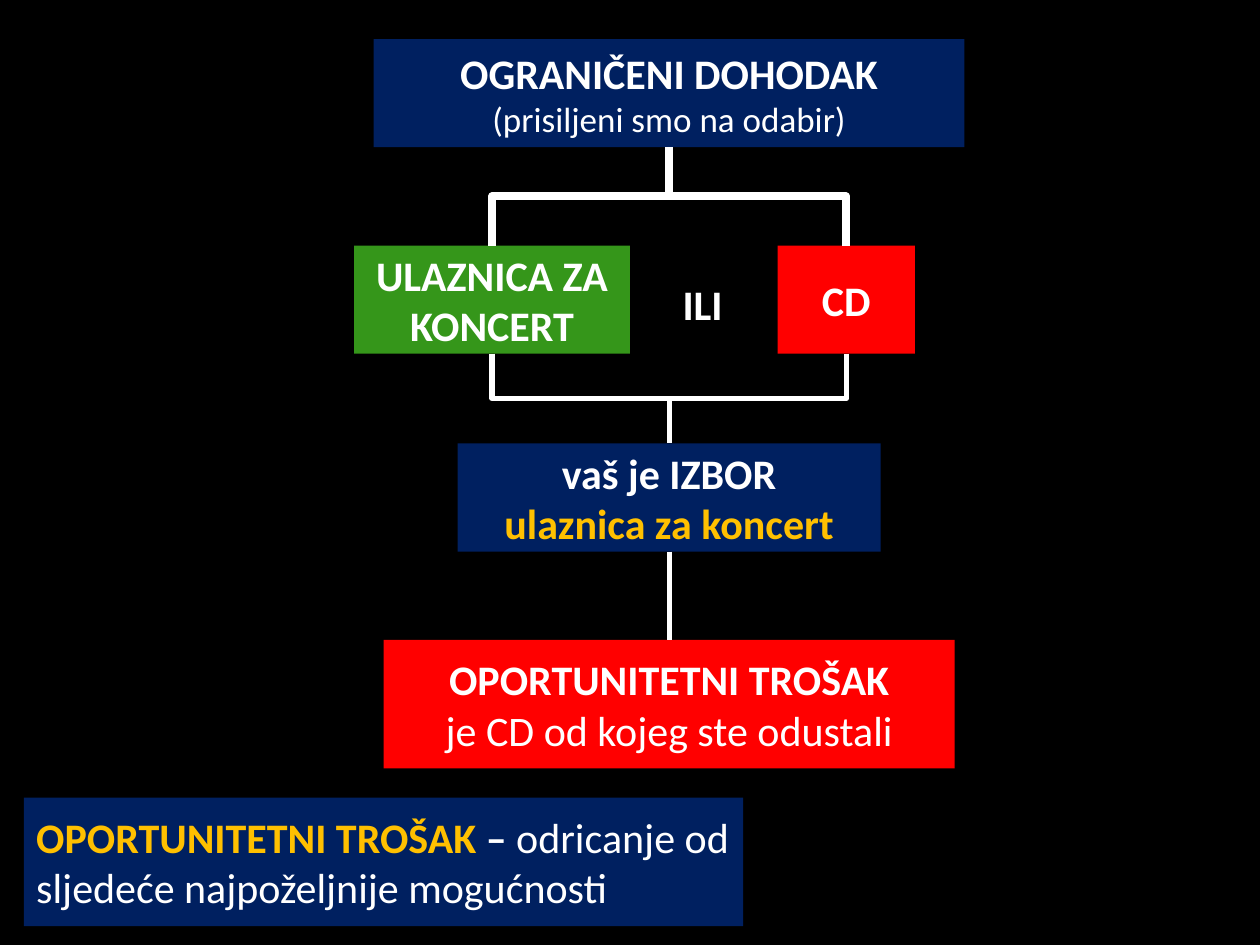
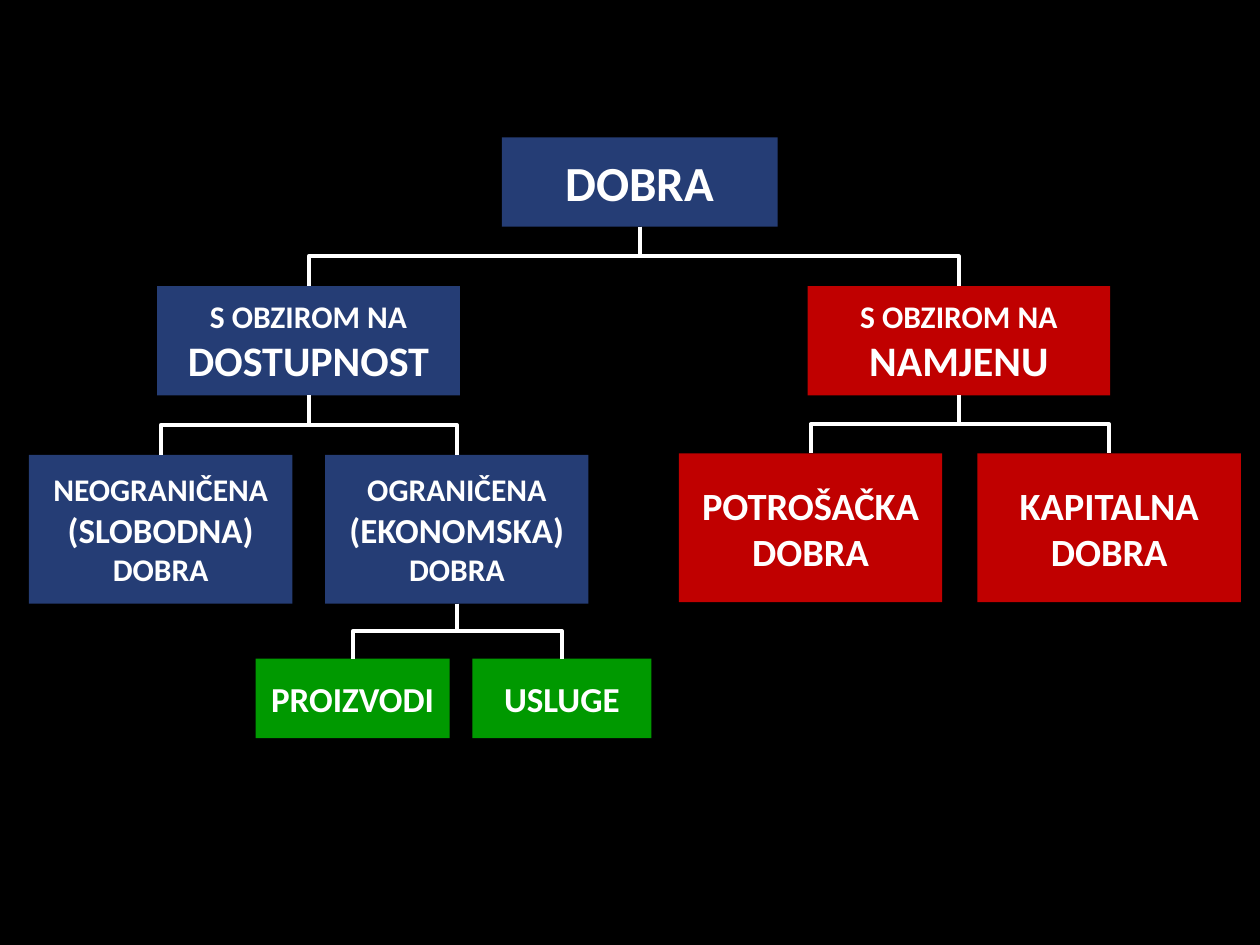
from lxml.etree import SubElement
from pptx import Presentation
from pptx.dml.color import RGBColor
from pptx.enum.shapes import MSO_CONNECTOR, MSO_SHAPE
from pptx.enum.text import MSO_ANCHOR, PP_ALIGN
from pptx.oxml.ns import qn
from pptx.util import Cm, Pt

FONT = "Calibri"
BLACK, WHITE, GOLD = "000000", "FFFFFF", "FFC000"
NAVY, BLUE = "002060", "253D75"
RED, DARK_RED = "FF0000", "C00000"
LEAF, GREEN = "35961A", "009900"
TOP, BOTTOM = 0, 2


def run(text, size=24, bold=True, color=WHITE):
    return text, size, bold, color


# Boxes: name: (centre x, top, width, height in cm, fill, paragraphs of runs)
# Links: (upper box, lower box, line width in points)
CHOICE_BOXES = {
    "income": (13.49, 0.79, 11.91, 2.18, NAVY, [
        [run("OGRANIČENI DOHODAK")],
        [run("(prisiljeni smo na odabir)", 20, False)]]),
    "ticket": (9.92, 4.95, 5.56, 2.18, LEAF, [[run("ULAZNICA ZA KONCERT")]]),
    "cd": (17.06, 4.95, 2.77, 2.18, RED, [[run("CD")]]),
    "or": (14.17, 5.49, 1.32, 1.27, None, [[run("ILI")]]),
    "choice": (13.49, 8.94, 8.53, 2.18, NAVY, [
        [run("vaš je IZBOR")],
        [run("ulaznica za koncert", color=GOLD)]]),
    "cost": (13.49, 12.9, 11.51, 2.59, RED, [
        [run("OPORTUNITETNI TROŠAK")],
        [run("je CD od kojeg ste odustali", bold=False)]]),
    "definition": (7.73, 16.08, 14.5, 2.59, NAVY, [
        [run("OPORTUNITETNI TROŠAK", color=GOLD), run(" – "),
         run("odricanje od sljedeće najpoželjnije mogućnosti", bold=False)]]),
}
CHOICE_LINKS = [
    ("income", "ticket", 4.5), ("income", "cd", 4.5),
    ("ticket", "choice", 3), ("cd", "choice", 3), ("choice", "cost", 3),
]

ASPECT_SIZE = (6.1, 2.2)
KIND_SIZE = (5.31, 3)
GOODS_BOXES = {
    "goods": (12.9, 2.77, 5.56, 1.8, BLUE, [[run("DOBRA", 28)]]),
    "availability": (6.22, 5.77, *ASPECT_SIZE, BLUE, [
        [run("S OBZIROM NA ", 18), run("DOSTUPNOST")]]),
    "purpose": (19.33, 5.77, *ASPECT_SIZE, DARK_RED, [
        [run("S OBZIROM NA ", 18), run("NAMJENU")]]),
    "free": (3.24, 9.17, *KIND_SIZE, BLUE, [
        [run("NEOGRANIČENA ", 18), run("(SLOBODNA) ", 20), run("DOBRA", 18)]]),
    "economic": (9.21, 9.17, *KIND_SIZE, BLUE, [
        [run("OGRANIČENA ", 18), run("(EKONOMSKA) ", 20), run("DOBRA", 18)]]),
    "consumer": (16.34, 9.14, *KIND_SIZE, DARK_RED, [[run("POTROŠAČKA DOBRA", 22)]]),
    "capital": (22.36, 9.14, *KIND_SIZE, DARK_RED, [[run("KAPITALNA DOBRA", 22)]]),
    "products": (7.11, 13.28, 3.91, 1.6, GREEN, [[run("PROIZVODI", 20)]]),
    "services": (11.33, 13.28, 3.61, 1.6, GREEN, [[run("USLUGE", 20)]]),
}
GOODS_CHILDREN = {
    "goods": ("availability", "purpose"),
    "availability": ("free", "economic"),
    "purpose": ("consumer", "capital"),
    "economic": ("products", "services"),
}
GOODS_LINKS = [(parent, child, 2.25)
               for parent, children in GOODS_CHILDREN.items() for child in children]


def rgb(color):
    return RGBColor.from_string(color)


def add_box(page, center, top, width, height, fill, paragraphs, align):
    place = Cm(center - width / 2), Cm(top), Cm(width), Cm(height)
    if fill:
        box = page.shapes.add_shape(MSO_SHAPE.RECTANGLE, *place)
        box.shadow.inherit = False
        box.fill.solid()
        box.fill.fore_color.rgb = rgb(fill)
        box.line.fill.background()
        box.text_frame.vertical_anchor = MSO_ANCHOR.MIDDLE
    else:
        box = page.shapes.add_textbox(*place)
    frame = box.text_frame
    frame.word_wrap = bool(fill)
    for index, runs in enumerate(paragraphs):
        para = frame.add_paragraph() if index else frame.paragraphs[0]
        para.alignment = align
        for text, size, bold, color in runs:
            span = para.add_run()
            span.text = text
            span.font.name = FONT
            span.font.size = Pt(size)
            span.font.bold = bold
            span.font.color.rgb = rgb(color)
    return box


def turn_upright(link, start, end):
    """Rotate an elbow so that it leaves and arrives vertically."""
    (x1, y1), (x2, y2) = start, end
    link.width, link.height = y2 - y1, abs(x2 - x1)
    link.left = (x1 + x2 - link.width) // 2
    link.top = (y1 + y2 - link.height) // 2
    frame = link._element.spPr.find(qn("a:xfrm"))
    goes_right = x2 > x1
    frame.set("rot", "16200000" if goes_right else "5400000")
    frame.set("flipH", "1" if goes_right else "0")


def add_link(page, upper, lower, weight):
    start = upper.left + upper.width // 2, upper.top + upper.height
    end = lower.left + lower.width // 2, lower.top
    straight = abs(start[0] - end[0]) < Cm(0.05)
    kind = MSO_CONNECTOR.STRAIGHT if straight else MSO_CONNECTOR.ELBOW
    link = page.shapes.add_connector(kind, *start, *end)
    link.begin_connect(upper, BOTTOM)
    link.end_connect(lower, TOP)
    if not straight:
        turn_upright(link, start, end)
    link.line.color.rgb = rgb(WHITE)
    link.line.width = Pt(weight)
    SubElement(link._element.spPr, qn("a:effectLst"))


def add_diagram(deck, boxes, links):
    page = deck.slides.add_slide(deck.slide_layouts[6])
    page.background.fill.solid()
    page.background.fill.fore_color.rgb = rgb(BLACK)
    drawn = {}
    for name, box in boxes.items():
        align = PP_ALIGN.LEFT if name in ("or", "definition") else PP_ALIGN.CENTER
        drawn[name] = add_box(page, *box, align)
    for upper, lower, weight in links:
        add_link(page, drawn[upper], drawn[lower], weight)


def main():
    deck = Presentation()
    deck.slide_width, deck.slide_height = Cm(25.4), Cm(19.05)
    add_diagram(deck, CHOICE_BOXES, CHOICE_LINKS)
    add_diagram(deck, GOODS_BOXES, GOODS_LINKS)
    deck.save("out.pptx")


if __name__ == "__main__":
    main()
